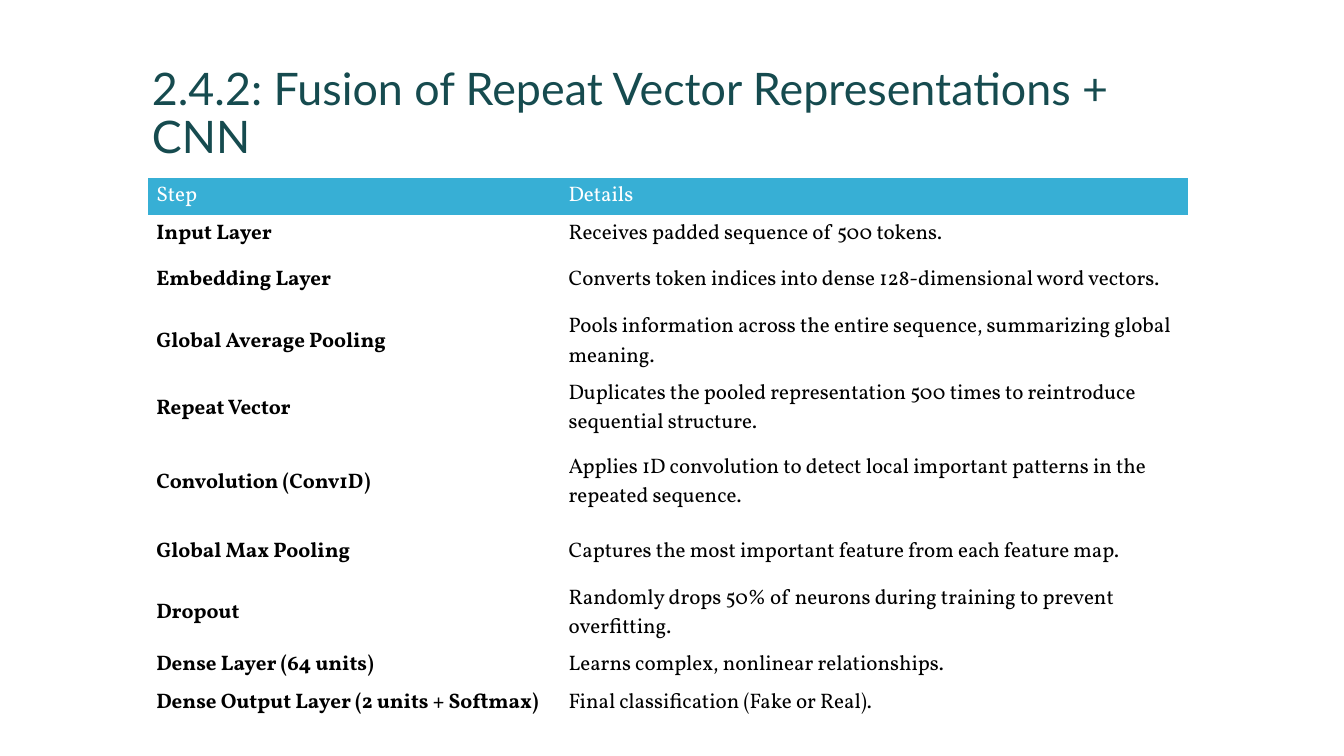
import dataclasses

import pptx
import pptx.dml.color
import pptx.enum.text
import pptx.oxml.ns
import pptx.util

Cm = pptx.util.Cm
MIDDLE = pptx.enum.text.MSO_ANCHOR.MIDDLE
BOTTOM = pptx.enum.text.MSO_ANCHOR.BOTTOM


@dataclasses.dataclass(frozen=True)
class Theme:
    title_font: str = "Lato"
    table_font: str = "Vollkorn"
    title_size: int = 32
    table_size: int = 15
    title_color: str = "164B4F"
    header_fill: str = "37AFD5"
    header_color: str = "FFFFFF"
    body_color: str = "000000"


theme = Theme()


def rgb(value):
    return pptx.dml.color.RGBColor.from_string(value)


def add_run(paragraph, text, font, size, color, bold=False):
    run = paragraph.add_run()
    run.text = text
    run.font.name = font
    run.font.size = pptx.util.Pt(size)
    run.font.color.rgb = rgb(color)
    run.font.bold = bold


presentation = pptx.Presentation()
presentation.slide_width = Cm(33.87)
presentation.slide_height = Cm(19.05)
slide = presentation.slides.add_slide(presentation.slide_layouts[6])

# Title
title = slide.shapes.add_textbox(Cm(3.58), Cm(1.07), Cm(26.67), Cm(3.18))
title_frame = title.text_frame
title_frame.word_wrap = True
title_frame.vertical_anchor = BOTTOM
title_paragraph = title_frame.paragraphs[0]
title_paragraph.line_spacing = 0.9
add_run(title_paragraph, "2.4.2: Fusion of Repeat Vector Representations + CNN",
        theme.title_font, theme.title_size, theme.title_color)

# Table content: row height in cm, step, details
rows = [
    (0.94, "Step", "Details"),
    (0.94, "Input Layer", "Receives padded sequence of 500 tokens."),
    (1.42, "Embedding Layer",
     "Converts token indices into dense 128-dimensional word vectors."),
    (1.68, "Global Average Pooling",
     "Pools information across the entire sequence, summarizing global meaning."),
    (1.68, "Repeat Vector",
     "Duplicates the pooled representation 500 times to reintroduce sequential structure."),
    (2.06, "Convolution (Conv1D)",
     "Applies 1D convolution to detect local important patterns in the repeated sequence."),
    (1.42, "Global Max Pooling",
     "Captures the most important feature from each feature map."),
    (1.68, "Dropout",
     "Randomly drops 50% of neurons during training to prevent overfitting."),
    (0.94, "Dense Layer (64 units)", "Learns complex, nonlinear relationships."),
    (0.94, "Dense Output Layer (2 units + Softmax)",
     "Final classification (Fake or Real)."),
]
column_widths = [10.39, 15.8]

# Table without style, banding or grid
table_height = sum(height for height, step, details in rows)
table = slide.shapes.add_table(
    len(rows), len(column_widths), Cm(3.74), Cm(4.48),
    Cm(sum(column_widths)), Cm(table_height)).table
table.horz_banding = False
style = table._tbl.tblPr.find(pptx.oxml.ns.qn("a:tableStyleId"))
style.text = "{2D5ABB26-0587-4C30-8999-92F81FD0307C}"
for column, width in zip(table.columns, column_widths):
    column.width = Cm(width)

# Cells
for row_index, (height, *texts) in enumerate(rows):
    table.rows[row_index].height = Cm(height)
    is_header = row_index == 0
    for column_index, text in enumerate(texts):
        cell = table.cell(row_index, column_index)
        cell.vertical_anchor = MIDDLE
        cell.margin_left = cell.margin_right = Cm(0.2)
        cell.margin_top = cell.margin_bottom = Cm(0.1)
        if is_header:
            cell.fill.solid()
            cell.fill.fore_color.rgb = rgb(theme.header_fill)
        else:
            cell.fill.background()
        add_run(cell.text_frame.paragraphs[0], text,
                theme.table_font, theme.table_size,
                theme.header_color if is_header else theme.body_color,
                bold=not is_header and column_index == 0)

presentation.save("out.pptx")
